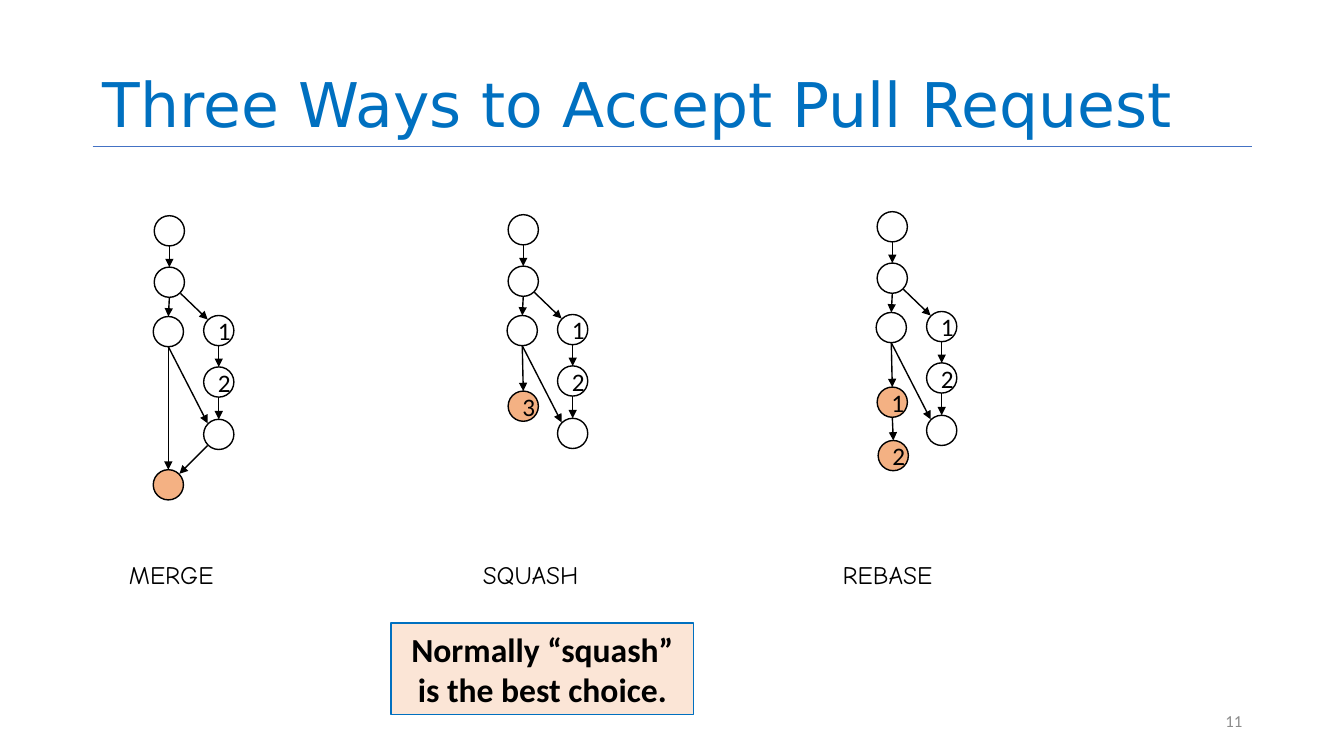
import pptx
import pptx.dml.color
import pptx.enum.shapes
import pptx.enum.text
import pptx.oxml
import pptx.oxml.ns
import pptx.util

PX = 9144  # EMU per px, 100 px to the inch
ANCHOR = pptx.enum.text.MSO_ANCHOR
ALIGN = pptx.enum.text.PP_ALIGN
SHAPE = pptx.enum.shapes.MSO_SHAPE
NS = 'xmlns:a="http://schemas.openxmlformats.org/drawingml/2006/main"'

BLACK, WHITE, BLUE, ORANGE = "000000", "FFFFFF", "0070C0", "F4B183"
DIAMETER = 30

# Where arrows touch a commit circle, from its top left corner
SITES = {"top": (15, 0), "bottom": (15, 30), "top left": (4, 4),
         "top right": (26, 4), "bottom left": (4, 26), "bottom right": (26, 26)}

# Every graph begins with these: name -> (x, y, label, fill)
SHARED_COMMITS = {
    "root": (0, 0, "", WHITE),
    "base": (0, 51, "", WHITE),
    "main": (-1, 100, "", WHITE),
    "first": (49, 99, "1", WHITE),
    "second": (49, 150, "2", WHITE),
    "tip": (49, 202, "", WHITE),
}
SHARED_ARROWS = [
    ("root", "bottom", "base", "top"),
    ("base", "bottom", "main", "top"),
    ("base", "bottom right", "first", "top left"),
    ("first", "bottom", "second", "top"),
    ("second", "bottom", "tip", "top"),
    ("main", "bottom", "tip", "top left"),
]

# Name, label left, graph origin, accepted commits, their arrows
STRATEGIES = [
    ("MERGE", 118, (153, 214),
     {"merged": (-1, 252, "", ORANGE)},
     [("main", "bottom", "merged", "top"),
      ("tip", "bottom left", "merged", "top right")]),
    ("SQUASH", 469, (504, 213),
     {"squashed": (0, 175, "3", ORANGE)},
     [("main", "bottom", "squashed", "top")]),
    ("REBASE", 826, (870, 210),
     {"replayed 1": (0, 174, "1", ORANGE),
      "replayed 2": (1, 227, "2", ORANGE)},
     [("main", "bottom", "replayed 1", "top"),
      ("replayed 1", "bottom", "replayed 2", "top")]),
]


def px(*lengths):
    return [pptx.util.Emu(length * PX) for length in lengths]


def rgb(color):
    return pptx.dml.color.RGBColor.from_string(color)


def write(frame, text, size, font, color, align=ALIGN.LEFT, bold=False):
    frame.text = text
    frame.word_wrap = True
    for paragraph in frame.paragraphs:
        paragraph.alignment = align
        for run in paragraph.runs:
            run.font.size = pptx.util.Pt(size)
            run.font.name = font
            run.font.bold = bold
            run.font.color.rgb = rgb(color)


def add_label(slide, box, *text_format):
    label = slide.shapes.add_textbox(*px(*box))
    write(label.text_frame, *text_format)
    return label


def add_filled(shapes, kind, box, fill, line):
    filled = shapes.add_shape(kind, *px(*box))
    filled.shadow.inherit = False
    filled.fill.solid()
    filled.fill.fore_color.rgb = rgb(fill)
    filled.line.color.rgb = rgb(line)
    filled.line.width = pptx.util.Pt(1)
    filled.text_frame.vertical_anchor = ANCHOR.MIDDLE
    return filled


def add_line(shapes, start, end, color, width, arrow=False):
    line = shapes.add_connector(
        pptx.enum.shapes.MSO_CONNECTOR.STRAIGHT, *px(*start, *end))
    line.line.color.rgb = rgb(color)
    line.line.width = pptx.util.Pt(width)
    properties = line._element.spPr
    if arrow:
        properties.find(pptx.oxml.ns.qn("a:ln")).append(
            pptx.oxml.parse_xml(f'<a:tailEnd {NS} type="triangle"/>'))
    properties.append(pptx.oxml.parse_xml(f"<a:effectLst {NS}/>"))


def add_graph(slide, origin, commits, arrows):
    graph = slide.shapes.add_group_shape().shapes
    left, top = origin

    def site(commit, side):
        x, y = commits[commit][:2]
        dx, dy = SITES[side]
        return left + x + dx, top + y + dy

    for x, y, label, fill in commits.values():
        circle = add_filled(graph, SHAPE.OVAL,
                            (left + x, top + y, DIAMETER, DIAMETER), fill, BLACK)
        if label:
            write(circle.text_frame, label, 18, "Calibri", BLACK, ALIGN.CENTER)
    for parent, leaving, child, entering in arrows:
        add_line(graph, site(parent, leaving), site(child, entering),
                 BLACK, 1, arrow=True)


def add_title(slide, text):
    title = slide.shapes.title
    title.left, title.top, title.width, title.height = px(92, 0, 1150, 145)
    write(title.text_frame, text, 44, "DejaVu Sans", BLUE)
    title.text_frame.auto_size = pptx.enum.text.MSO_AUTO_SIZE.NONE
    title.text_frame.vertical_anchor = ANCHOR.BOTTOM
    title.text_frame.paragraphs[0].line_spacing = 0.9


def main():
    deck = pptx.Presentation()
    deck.slide_width, deck.slide_height = px(1333, 750)
    slide = deck.slides.add_slide(deck.slide_layouts[5])

    # Title and rule
    add_title(slide, "Three Ways to Accept Pull Request")
    add_line(slide.shapes, (92, 145), (1242, 145), "4472C4", 0.5)

    # Commit graphs and their names
    for name, label_left, origin, accepted, arrows in STRATEGIES:
        add_graph(slide, origin, {**SHARED_COMMITS, **accepted},
                  SHARED_ARROWS + arrows)
        add_label(slide, (label_left, 550, 125, 40),
                  name, 18, "Comic Neue", BLACK)

    # Advice
    advice = add_filled(slide.shapes, SHAPE.RECTANGLE, (388, 618, 300, 91),
                        "FBE5D6", BLUE)
    write(advice.text_frame, "Normally “squash”\nis the best choice.",
          24, "Calibri", BLACK, ALIGN.CENTER, bold=True)

    # Page number
    page = add_label(slide, (942, 695, 300, 40),
                     "11", 12, "Calibri", "8C8C8C", ALIGN.RIGHT)
    page.text_frame.vertical_anchor = ANCHOR.MIDDLE

    deck.save("out.pptx")


if __name__ == "__main__":
    main()
